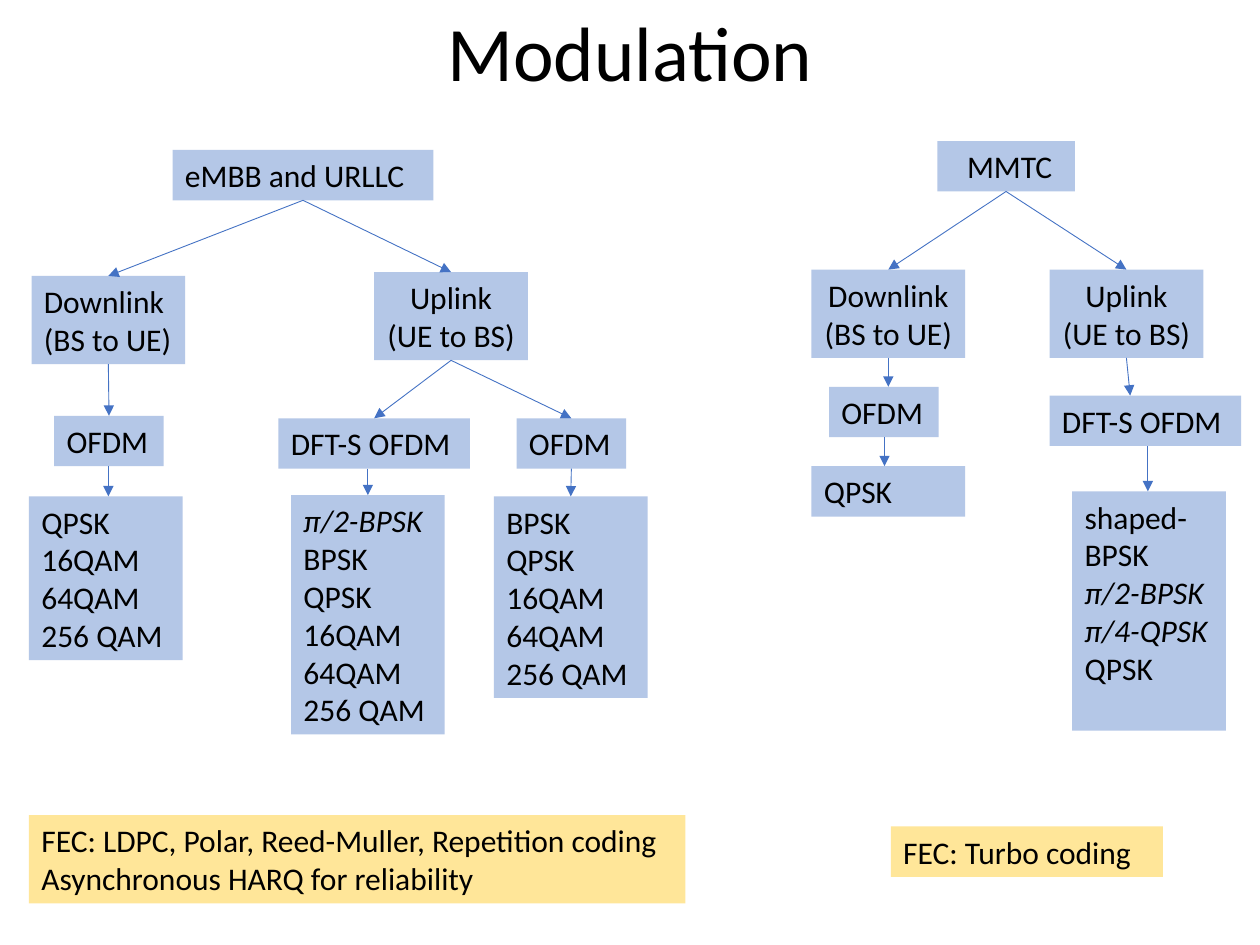
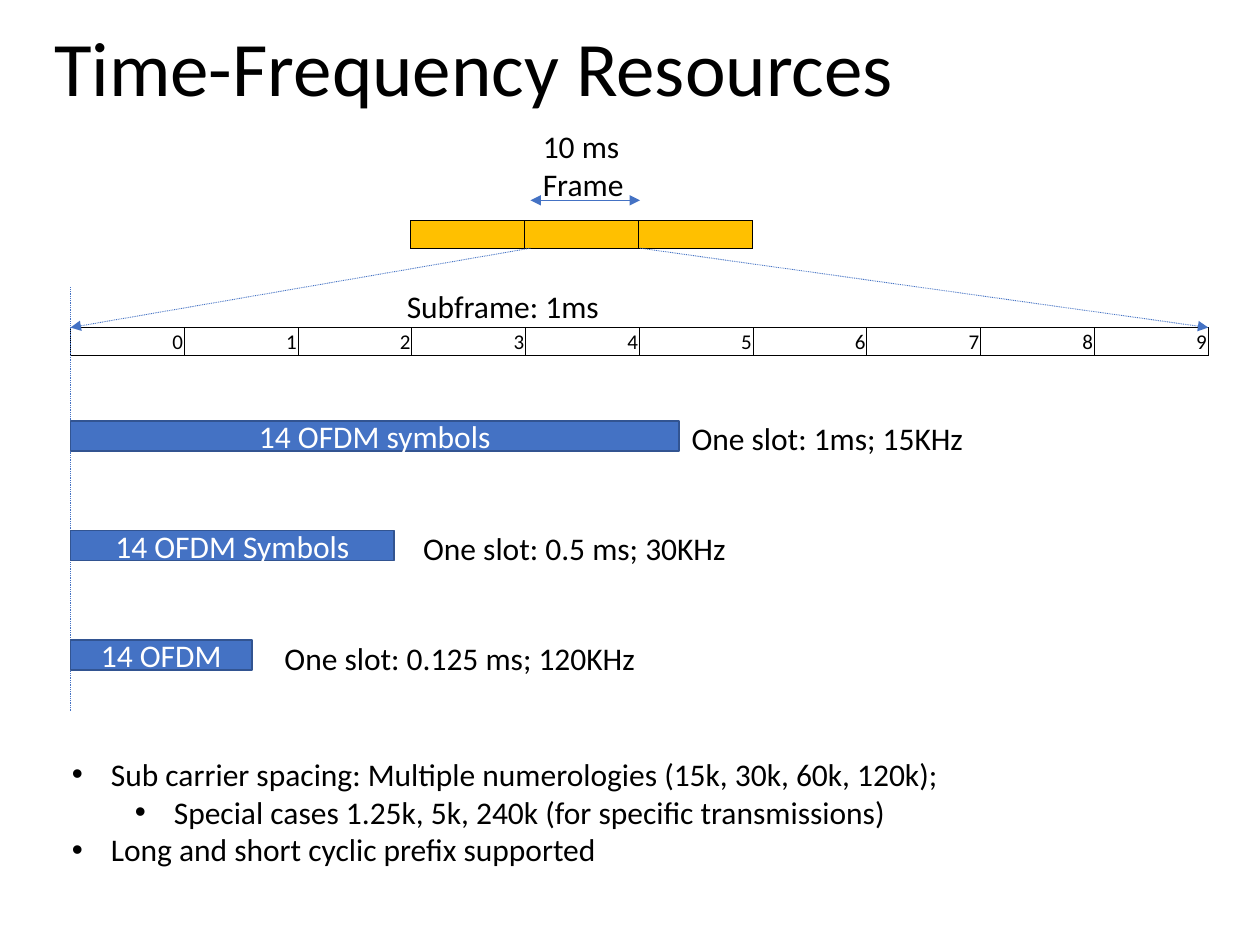
import dataclasses

import lxml.etree
import pptx
import pptx.dml.color
import pptx.enum.dml
import pptx.enum.shapes
import pptx.enum.text
import pptx.oxml.ns
import pptx.util

Inches = pptx.util.Inches
Pt = pptx.util.Pt
Align = pptx.enum.text.PP_ALIGN
Anchor = pptx.enum.text.MSO_ANCHOR


@dataclasses.dataclass(frozen=True)
class Theme:
    font: str = "Calibri"
    title_size: float = 44
    text_size: float = 18
    cell_size: float = 12
    line_width: float = 0.5
    text: str = "000000"
    inverse_text: str = "FFFFFF"
    node: str = "B4C7E7"
    coding: str = "FFE699"
    accent: str = "4472C4"
    accent_edge: str = "325491"
    frame: str = "FFC000"


@dataclasses.dataclass(frozen=True)
class Node:
    left: float
    top: float
    width: float
    lines: tuple
    align: object = Align.LEFT
    rows: int = 0

    @property
    def height(self):
        return text_height(self.rows or len(self.lines))

    @property
    def center(self):
        return self.left + self.width / 2


THEME = Theme()
LINK_WIDTH = 1.22
DOWNLINK = ("Downlink", "(BS to UE)")
UPLINK = ("Uplink", "(UE to BS)")
QAM_LINES = ("QPSK", "16QAM", "64QAM", "256 QAM")

BROADBAND_NODES = {
    "service": Node(1.14, 0, 2.07, ("eMBB and URLLC",)),
    "downlink": Node(0.02, 1, LINK_WIDTH, DOWNLINK),
    "uplink": Node(2.74, 0.97, LINK_WIDTH, UPLINK, Align.CENTER),
    "downlink wave": Node(0.2, 2.11, 0.87, ("OFDM",)),
    "spread wave": Node(1.98, 2.13, 1.52, ("DFT-S OFDM",)),
    "uplink wave": Node(3.87, 2.13, 0.87, ("OFDM",)),
    "downlink schemes": Node(0, 2.75, LINK_WIDTH, QAM_LINES),
    "spread schemes": Node(2.08, 2.74, LINK_WIDTH, ("π/2-BPSK", "BPSK") + QAM_LINES),
    "uplink schemes": Node(3.69, 2.75, LINK_WIDTH, ("BPSK",) + QAM_LINES),
}
# Each arrow: parent, child, and the x of its ends where they are off centre.
BROADBAND_ARROWS = (
    ("service", "downlink"),
    ("service", "uplink"),
    ("uplink", "spread wave"),
    ("uplink", "uplink wave"),
    ("downlink", "downlink wave"),
    ("downlink wave", "downlink schemes", 0.63, 0.63),
    ("spread wave", "spread schemes", 2.69, 2.69),
    ("uplink wave", "uplink schemes"),
)
MACHINE_NODES = {
    "service": Node(1, 0, 1.09, (" MMTC",), Align.CENTER),
    "downlink": Node(0, 1.02, LINK_WIDTH, DOWNLINK, Align.CENTER),
    "uplink": Node(1.89, 1.02, LINK_WIDTH, UPLINK, Align.CENTER),
    "downlink wave": Node(0.14, 1.95, 0.87, ("OFDM",)),
    "uplink wave": Node(1.89, 2.02, 1.52, ("DFT-S OFDM",)),
    "downlink schemes": Node(0, 2.58, LINK_WIDTH, ("QPSK",)),
    "uplink schemes": Node(2.07, 2.78, LINK_WIDTH,
                           ("shaped- BPSK", "π/2-BPSK", "π/4-QPSK", "QPSK"), rows=6),
}
MACHINE_ARROWS = (
    ("service", "downlink"),
    ("service", "uplink"),
    ("downlink", "downlink wave", 0.61, 0.61),
    ("downlink wave", "downlink schemes", 0.58, 0.58),
    ("uplink", "uplink wave", 2.5, 2.53),
    ("uplink wave", "uplink schemes", 2.67, 2.67),
)


def text_height(rows):
    return 0.1 + 0.3 * rows


def rgb(color):
    return pptx.dml.color.RGBColor.from_string(color)


def add_xml(parent, tag, **attributes):
    return lxml.etree.SubElement(parent, pptx.oxml.ns.qn(tag), **attributes)


def place(shape, left, top, width, height):
    shape.left, shape.top = Inches(left), Inches(top)
    shape.width, shape.height = Inches(width), Inches(height)


def write_text(frame, lines, size=THEME.text_size, color=THEME.text, align=Align.LEFT,
               anchor=Anchor.TOP, wrap=True, line_spacing=1.0):
    """Fill a text frame, one paragraph a line; phase-shifted schemes are italic."""
    frame.word_wrap = wrap
    frame.auto_size = pptx.enum.text.MSO_AUTO_SIZE.NONE
    frame.vertical_anchor = anchor
    for index, line in enumerate(lines):
        paragraph = frame.add_paragraph() if index else frame.paragraphs[0]
        paragraph.alignment = align
        paragraph.line_spacing = line_spacing
        paragraph.space_before = Pt(0)
        run = paragraph.add_run()
        run.text = line
        run.font.name, run.font.size = THEME.font, Pt(size)
        run.font.color.rgb = rgb(color)
        if line.startswith("π"):
            run.font.italic = True


def add_label(slide, left, top, width, lines, fill=None, rows=0, **text_format):
    box = slide.shapes.add_textbox(Inches(left), Inches(top), Inches(width),
                                   Inches(text_height(rows or len(lines))))
    if fill:
        box.fill.solid()
        box.fill.fore_color.rgb = rgb(fill)
    write_text(box.text_frame, lines, **text_format)


def add_line(slide, start, end, head=False, tail=True, dotted=False):
    points = [Inches(value) for value in (*start, *end)]
    line = slide.shapes.add_connector(pptx.enum.shapes.MSO_CONNECTOR.STRAIGHT, *points)
    line.line.color.rgb = rgb(THEME.accent)
    line.line.width = Pt(THEME.line_width)
    if dotted:
        line.line.dash_style = pptx.enum.dml.MSO_LINE.ROUND_DOT
    properties = line._element.spPr
    outline = properties.find(pptx.oxml.ns.qn("a:ln"))
    for tag, wanted in (("a:headEnd", head), ("a:tailEnd", tail)):
        if wanted:
            add_xml(outline, tag, type="triangle")
    add_xml(properties, "a:effectLst")


def add_titled_slide(presentation, layout, title, box, align):
    slide = presentation.slides.add_slide(presentation.slide_layouts[layout])
    place(slide.shapes.title, *box)
    write_text(slide.shapes.title.text_frame, [title], size=THEME.title_size,
               align=align, anchor=Anchor.MIDDLE, line_spacing=0.9)
    return slide


def add_tree(slide, left, top, nodes, arrows):
    for node in nodes.values():
        add_label(slide, left + node.left, top + node.top, node.width, node.lines,
                  fill=THEME.node, rows=node.rows, align=node.align)
    for parent_name, child_name, *ends in arrows:
        parent, child = nodes[parent_name], nodes[child_name]
        start_x, end_x = ends or (parent.center, child.center)
        add_line(slide, (left + start_x, top + parent.top + parent.height),
                 (left + end_x, top + child.top))


def add_strip(slide, left, top, width, columns, labels=(), fill=None):
    """Add a one-row table of equal cells with thin black borders."""
    height = 0.22
    graphic = slide.shapes.add_table(1, columns, Inches(left), Inches(top),
                                     Inches(width), Inches(height))
    table = graphic.table
    table.first_row = table.horz_banding = False
    for index in range(columns):
        table.columns[index].width = Inches(width / columns)
        cell = table.cell(0, index)
        cell.margin_left = cell.margin_right = cell.margin_top = Inches(0.01)
        cell.margin_bottom = 0
        cell.vertical_anchor = Anchor.BOTTOM
        properties = cell._tc.get_or_add_tcPr()
        for side in "LRTB":
            border = add_xml(properties, f"a:ln{side}", w=str(Pt(THEME.line_width)))
            add_xml(add_xml(border, "a:solidFill"), "a:srgbClr", val=THEME.text)
        if fill:
            cell.fill.solid()
            cell.fill.fore_color.rgb = rgb(fill)
        else:
            cell.fill.background()
        paragraph = cell.text_frame.paragraphs[0]
        if labels:
            paragraph.alignment = Align.RIGHT
            run = paragraph.add_run()
            run.text = labels[index]
            run.font.name, run.font.size = THEME.font, Pt(THEME.cell_size)
            run.font.color.rgb = rgb(THEME.text)
        else:
            add_xml(paragraph._p, "a:endParaRPr", sz=str(THEME.cell_size * 100))


def add_frame_timeline(slide, left, top, width):
    """Show a frame among its neighbours, opened out into ten subframes."""
    cell = width / 10
    frame_left, frame_top, subframe_top = left + 2.7, top + 0.79, top + 1.64
    middle_left, middle_right = frame_left + 0.95, frame_left + 1.82
    add_strip(slide, frame_left, frame_top, 3 * cell, 3, fill=THEME.frame)
    add_line(slide, (middle_left, top + 0.63), (middle_right, top + 0.63), head=True)
    add_label(slide, middle_left, top, 0.87, ["10 ms", "Frame"])
    add_strip(slide, left, subframe_top, width, 10, labels=[str(n) for n in range(10)])
    for start, end in ((middle_left, left), (middle_right, left + width)):
        add_line(slide, (start, frame_top + 0.22), (end, subframe_top), dotted=True)
    add_label(slide, left + 2.57, top + 1.27, 2.52, ["Subframe: 1ms"])


def add_slots(slide, left, top):
    slots = (
        (4.83, "14 OFDM symbols", 4.83, "One slot: 1ms; 15KHz"),
        (2.57, "14 OFDM Symbols", 2.7, "One slot: 0.5 ms; 30KHz"),
        (1.44, "14 OFDM", 1.6, "One slot: 0.125 ms; 120KHz"),
    )
    add_line(slide, (left, top - 1.06), (left, top + 2.3), tail=False, dotted=True)
    for index, (width, symbols, label_left, label) in enumerate(slots):
        slot_top = top + 0.87 * index
        bar = slide.shapes.add_shape(pptx.enum.shapes.MSO_SHAPE.RECTANGLE, Inches(left),
                                     Inches(slot_top), Inches(width), Inches(0.24))
        bar.shadow.inherit = False
        bar.fill.solid()
        bar.fill.fore_color.rgb = rgb(THEME.accent)
        bar.line.color.rgb = rgb(THEME.accent_edge)
        bar.line.width = Pt(1)
        write_text(bar.text_frame, [symbols], color=THEME.inverse_text,
                   align=Align.CENTER, anchor=Anchor.MIDDLE)
        add_label(slide, left + label_left, slot_top - 0.06, 3.23, [label])


def fill_bullets(body, box, items):
    place(body, *box)
    write_text(body.text_frame, [text for level, text in items])
    for paragraph, (level, text) in zip(body.text_frame.paragraphs, items):
        paragraph.level = level
        properties = paragraph._p.get_or_add_pPr()
        properties.set("marL", str(Inches(0.78 + 0.5 * level)))
        properties.set("indent", str(Inches(-0.31)))
        add_xml(properties, "a:buFont", typeface="Arial")
        add_xml(properties, "a:buChar", char="•")


def build_modulation(presentation):
    slide = add_titled_slide(presentation, 5, "Modulation", (1.47, 0, 7.06, 0.89),
                             Align.CENTER)
    add_tree(slide, 0.23, 1.19, BROADBAND_NODES, BROADBAND_ARROWS)
    add_tree(slide, 6.44, 1.12, MACHINE_NODES, MACHINE_ARROWS)
    add_label(slide, 0.23, 6.47, 5.21,
              ["FEC: LDPC, Polar, Reed-Muller, Repetition coding",
               "Asynchronous HARQ for reliability"], fill=THEME.coding, wrap=False)
    add_label(slide, 7.07, 6.56, 2.16, ["FEC: Turbo coding"], fill=THEME.coding)


def build_resources(presentation):
    slide = add_titled_slide(presentation, 1, "Time-Frequency Resources",
                             (0.33, 0.13, 8.62, 0.88), Align.LEFT)
    add_frame_timeline(slide, 0.56, 0.96, 9.03)
    add_slots(slide, 0.56, 3.34)
    fill_bullets(slide.placeholders[1], (0, 5.94, 7.91, 1.01), (
        (0, "Sub carrier spacing: Multiple numerologies (15k, 30k, 60k, 120k);"),
        (1, "Special cases 1.25k, 5k, 240k (for specific transmissions)"),
        (0, "Long and short cyclic prefix supported"),
    ))


def main():
    presentation = pptx.Presentation()
    presentation.slide_width, presentation.slide_height = Inches(10), Inches(7.5)
    build_modulation(presentation)
    build_resources(presentation)
    presentation.save("out.pptx")


if __name__ == "__main__":
    main()
